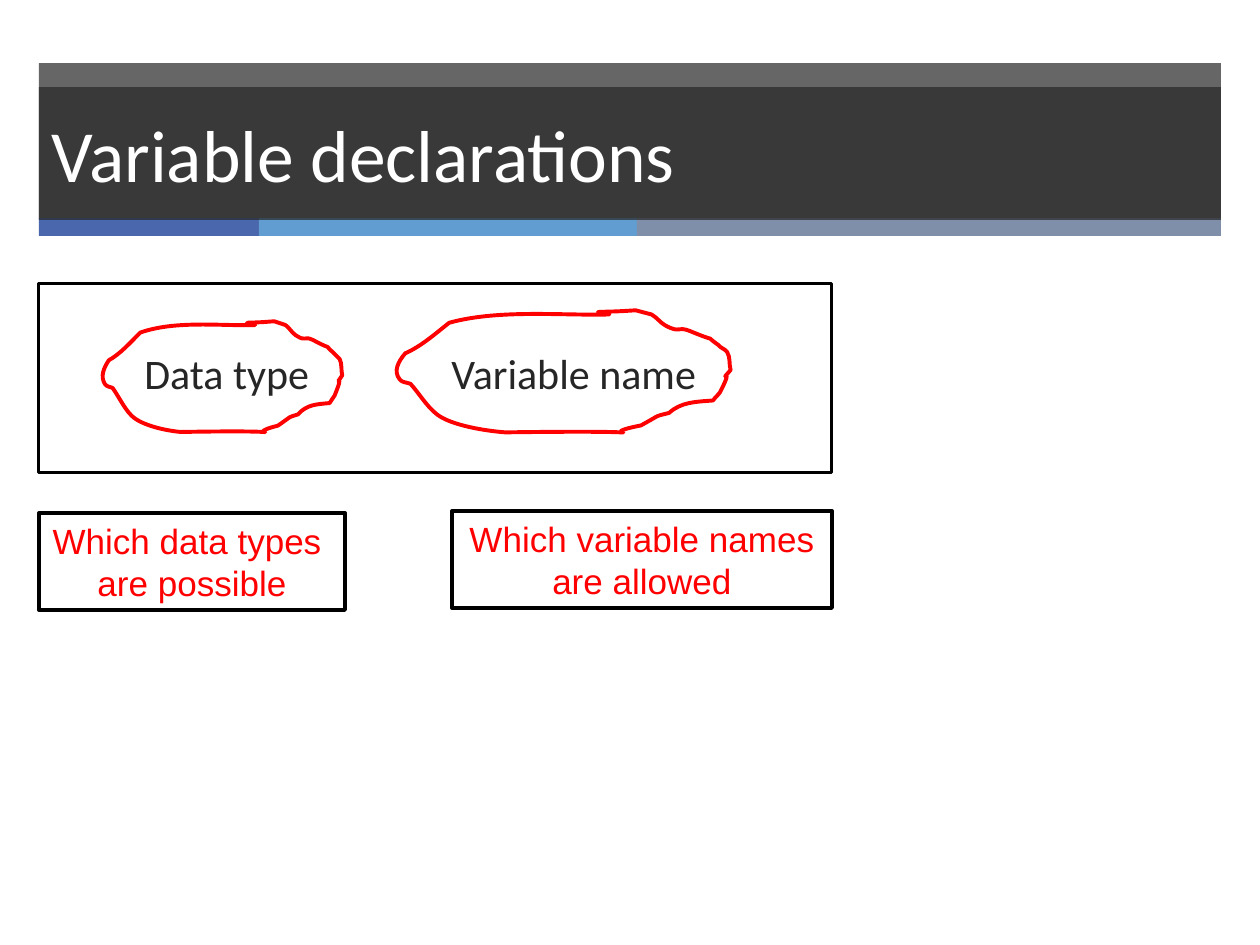
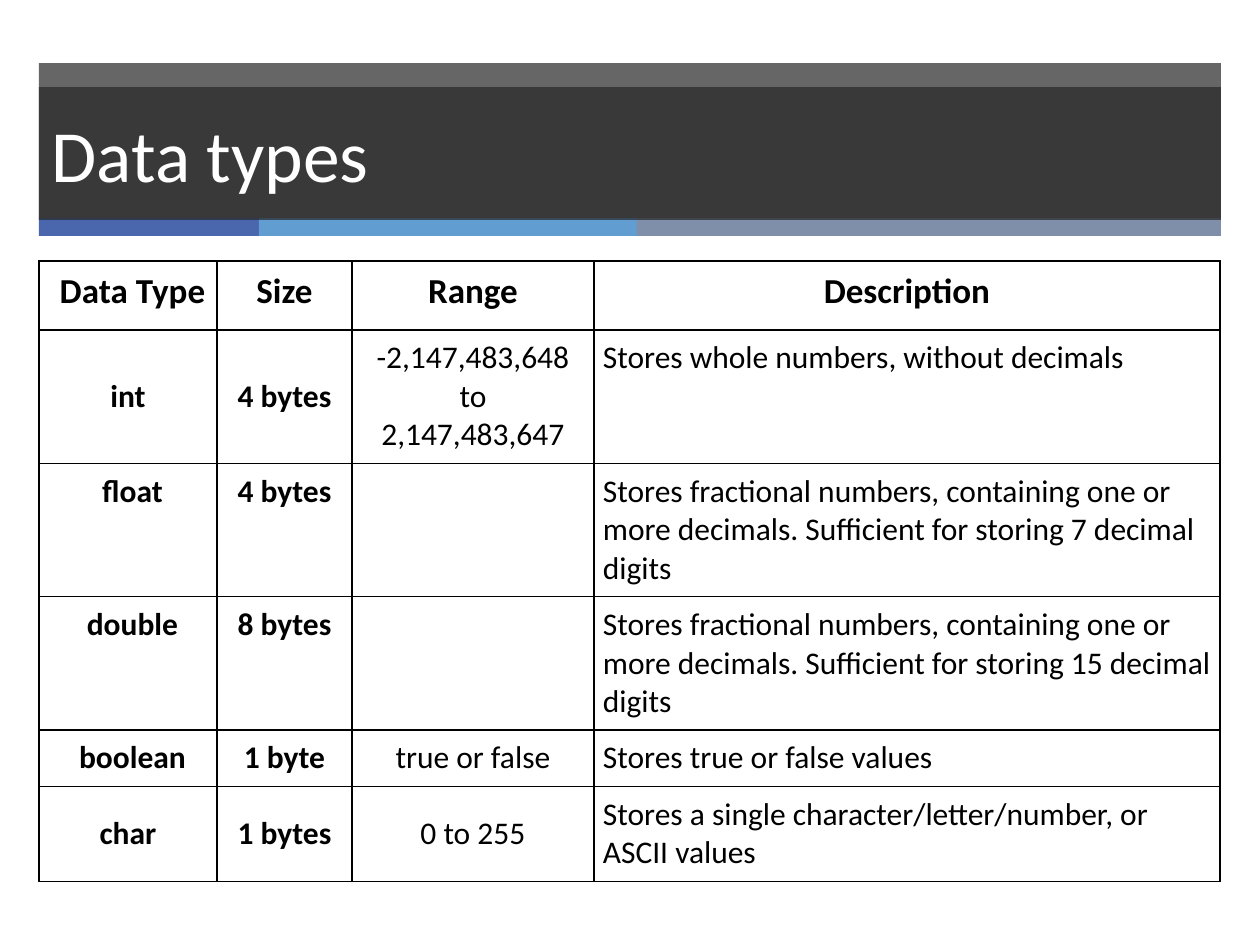
from pptx import Presentation
from pptx.dml.color import RGBColor
from pptx.enum.shapes import MSO_SHAPE as Preset
from pptx.enum.text import MSO_ANCHOR as Anchor, MSO_AUTO_SIZE as AutoSize, PP_ALIGN as Align
from pptx.oxml import parse_xml
from pptx.oxml.ns import nsdecls, qn
from pptx.util import Emu, Pt

PX_PER_INCH = 126
SLIDE_SIZE = (1260, 945)

WHITE = RGBColor(0xFF, 0xFF, 0xFF)
BLACK = RGBColor(0, 0, 0)
RED = RGBColor(0xFF, 0, 0)
CHARCOAL = RGBColor(0x26, 0x26, 0x26)
INDIGO = RGBColor(0x4A, 0x66, 0xAC)
SKY = RGBColor(0x62, 0x9D, 0xD1)
SLATE = RGBColor(0x7F, 0x8F, 0xA9)

BAND_OPACITY = 70
HEADER_BAND = (39, 63, 1182, 156)
TITLE_BOX = (39, 87, 1182, 133)
STRIPE_LEFT, STRIPE_TOP, STRIPE_HEIGHT = 39, 218, 18
STRIPES = [(220, INDIGO), (378, SKY), (584, SLATE)]

TITLE_FONT = dict(name="Calibri", size=Pt(42), color=WHITE)
LABEL_FONT = dict(name="Calibri", size=Pt(24), color=CHARCOAL)
QUESTION_FONT = dict(name="Arial", size=Pt(20), color=RED)
HEADER_FONT = dict(name="Calibri", size=Pt(20), bold=True, color=BLACK)
KEY_FONT = dict(HEADER_FONT, size=Pt(18))
DETAIL_FONT = dict(KEY_FONT, bold=False)

DECLARATION_TITLE = "Variable declarations"
DECLARATION_FRAME = (39, 284, 793, 189)
DECLARATION_LABELS = "Data type\tVariable name"
LABELS_BOX = (132, 341, 935, 158)
LABELS_TAB = 307
LOOP_BOXES = [(100, 320, 246, 117), (393, 309, 343, 129)]
QUESTIONS = [
    (["Which data types ", "are possible"], (39, 513, 306, 97)),
    (["Which variable names", "are allowed"], (452, 511, 380, 97)),
]

# Hand-drawn loop on a 195 x 93 grid: start, then Bezier triples
LOOP_GRID = (195, 93)
LOOP_START = (123, 4)
LOOP_CURVES = [
    ((98, 5), (60, 0), (32, 10)),
    ((24, 18), (16, 27), (7, 32)),
    ((3, 38), (0, 45), (4, 51)),
    ((5, 53), (8, 53), (10, 54)),
    ((15, 61), (19, 70), (25, 76)),
    ((33, 84), (53, 88), (64, 89)),
    ((176, 87), (105, 93), (141, 84)),
    ((154, 75), (148, 78), (157, 75)),
    ((164, 67), (172, 67), (182, 66)),
    ((183, 64), (185, 62), (186, 60)),
    ((195, 38), (184, 56), (192, 44)),
    ((191, 40), (192, 35), (190, 31)),
    ((189, 29), (186, 28), (185, 26)),
    ((175, 17), (188, 26), (169, 16)),
    ((161, 12), (164, 18), (155, 12)),
    ((152, 10), (150, 6), (147, 4)),
    ((144, 3), (138, 1), (138, 1)),
    ((116, 3), (111, 1), (123, 4)),
]

TYPES_TITLE = "Data types"
TABLE_BOX = (39, 261, 1181, 612)
COLUMN_WIDTHS = [178, 135, 242, 626]
MINIMUM_ROW_HEIGHTS = [69, 50, 82, 82, 50, 50]
TYPE_ROWS = [
    ("Data Type", "Size", "Range", "Description"),
    ("int", "4 bytes", "-2,147,483,648 to 2,147,483,647",
     "Stores whole numbers, without decimals"),
    ("float", "4 bytes", "",
     "Stores fractional numbers, containing one or more decimals. "
     "Sufficient for storing 7 decimal digits"),
    ("double", "8 bytes", "",
     "Stores fractional numbers, containing one or more decimals. "
     "Sufficient for storing 15 decimal digits"),
    ("boolean", "1 byte", "true or false", "Stores true or false values"),
    ("char", "1 bytes", "0 to 255",
     "Stores a single character/letter/number, or ASCII values"),
]
MIDDLE_ROWS = {"int", "char"}
CELL_INSET, KEY_INSET, MIDDLE_INSET = 9, 18, 19


def px(length):
    return Emu(round(length * 914400 / PX_PER_INCH))


def emu_box(box):
    return [px(length) for length in box]


def set_attributes(target, values):
    for name, value in values.items():
        setattr(target, name, value)


def write(frame, lines, font, align=Align.LEFT, **frame_values):
    """Fill a text frame with one formatted paragraph per line."""
    set_attributes(frame, frame_values)
    for index, line in enumerate(lines):
        paragraph = frame.add_paragraph() if index else frame.paragraphs[0]
        paragraph.alignment = align
        run = paragraph.add_run()
        run.text = line
        for name, value in font.items():
            if name == "color":
                run.font.color.rgb = value
            else:
                setattr(run.font, name, value)


def fill_solid(shape, color, opacity=100):
    shape.fill.solid()
    shape.fill.fore_color.rgb = color
    if opacity < 100:
        color_element = shape._element.spPr.find(qn("a:solidFill"))[0]
        color_element.append(parse_xml(
            f'<a:alpha {nsdecls("a")} val="{opacity * 1000}"/>'))


def add_band(slide, box, color, opacity=100):
    band = slide.shapes.add_shape(Preset.RECTANGLE, *emu_box(box))
    band.shadow.inherit = False
    band.line.fill.background()
    fill_solid(band, color, opacity)
    return band


def outline(shape, color, width):
    shape.shadow.inherit = False
    shape.fill.background()
    shape.line.color.rgb = color
    shape.line.width = Pt(width)


def add_outlined_box(slide, box, width):
    shape = slide.shapes.add_shape(Preset.RECTANGLE, *emu_box(box))
    outline(shape, BLACK, width)
    return shape


def move_bands_to_layout(slide, layout):
    """Draw the header bands once and hand them to the shared layout."""
    for placeholder in list(layout.placeholders)[1:]:
        placeholder._element.getparent().remove(placeholder._element)
    bands = [add_band(slide, HEADER_BAND, CHARCOAL, BAND_OPACITY)]
    left = STRIPE_LEFT
    for width, color in STRIPES:
        bands.append(add_band(slide, (left, STRIPE_TOP, width, STRIPE_HEIGHT), color))
        left += width
    for band in bands:
        layout.shapes._spTree.append(band._element)


def add_titled_slide(presentation, layout, text):
    slide = presentation.slides.add_slide(layout)
    title = slide.shapes.title
    set_attributes(title, dict(zip(("left", "top", "width", "height"), emu_box(TITLE_BOX))))
    fill_solid(title, CHARCOAL, BAND_OPACITY)
    write(title.text_frame, [text], TITLE_FONT, auto_size=AutoSize.NONE,
          vertical_anchor=Anchor.MIDDLE)
    return slide


def curve_segments(shape):
    """Turn each three line segments of a freeform into one Bezier curve."""
    path_element = next(shape._element.iter(qn("a:path")))
    lines = path_element.findall(qn("a:lnTo"))
    for first, second, end in zip(lines[::3], lines[1::3], lines[2::3]):
        curve = parse_xml(f'<a:cubicBezTo {nsdecls("a")}/>')
        first.addprevious(curve)
        for line in (first, second, end):
            curve.append(line[0])
            path_element.remove(line)


def add_loop(slide, box):
    left, top, width, height = box
    points = [LOOP_START] + [point for curve in LOOP_CURVES for point in curve]
    start, *rest = [(px(left + x * width / LOOP_GRID[0]), px(top + y * height / LOOP_GRID[1]))
                    for x, y in points]
    builder = slide.shapes.build_freeform(*start, scale=1.0)
    builder.add_line_segments(rest, close=True)
    loop = builder.convert_to_shape()
    curve_segments(loop)
    outline(loop, RED, 2.25)


def add_labels(slide):
    frame = slide.shapes.add_textbox(*emu_box(LABELS_BOX)).text_frame
    write(frame, [DECLARATION_LABELS], LABEL_FONT, word_wrap=True)
    frame.paragraphs[0]._p.get_or_add_pPr().append(parse_xml(
        f'<a:tabLst {nsdecls("a")}><a:tab pos="{px(LABELS_TAB)}" algn="l"/></a:tabLst>'))


def fill_declarations(slide):
    add_labels(slide)
    for box in LOOP_BOXES:
        add_loop(slide, box)
    for lines, box in QUESTIONS:
        question = add_outlined_box(slide, box, 2.25)
        write(question.text_frame, lines, QUESTION_FONT, Align.CENTER,
              word_wrap=False, vertical_anchor=Anchor.TOP)
    add_outlined_box(slide, DECLARATION_FRAME, 1.75)


def add_cell_borders(cell):
    properties = cell._tc.get_or_add_tcPr()
    for index, side in enumerate(("lnL", "lnR", "lnT", "lnB")):
        properties.insert(index, parse_xml(
            f'<a:{side} {nsdecls("a")} w="{Pt(1)}"><a:solidFill>'
            f'<a:srgbClr val="{BLACK}"/></a:solidFill></a:{side}>'))


def fill_cell(cell, text, row, column):
    is_description = column == len(COLUMN_WIDTHS) - 1
    is_middle = TYPE_ROWS[row][0] in MIDDLE_ROWS and not is_description
    side = MIDDLE_INSET if is_middle else CELL_INSET
    left = KEY_INSET if column == 0 and not is_middle else side
    set_attributes(cell, dict(
        margin_left=px(left), margin_right=px(side),
        margin_top=px(CELL_INSET), margin_bottom=px(CELL_INSET),
        vertical_anchor=Anchor.MIDDLE if is_middle else Anchor.TOP))
    cell.fill.background()
    add_cell_borders(cell)
    if text:
        font = HEADER_FONT if row == 0 else KEY_FONT if column < 2 else DETAIL_FONT
        align = Align.LEFT if is_description and row else Align.CENTER
        write(cell.text_frame, [text], font, align)


def add_types_table(slide):
    frame = slide.shapes.add_table(len(TYPE_ROWS), len(COLUMN_WIDTHS), *emu_box(TABLE_BOX))
    table = frame.table
    set_attributes(table, dict(first_row=False, horz_banding=False))
    for column, width in zip(table.columns, COLUMN_WIDTHS):
        column.width = px(width)
    for row, height in zip(table.rows, MINIMUM_ROW_HEIGHTS):
        row.height = px(height)
    frame.height = px(TABLE_BOX[3])
    for row, texts in enumerate(TYPE_ROWS):
        for column, text in enumerate(texts):
            fill_cell(table.cell(row, column), text, row, column)


def main():
    presentation = Presentation()
    presentation.slide_width, presentation.slide_height = emu_box(SLIDE_SIZE)
    layout = presentation.slide_layouts.get_by_name("Title Only")
    declarations = add_titled_slide(presentation, layout, DECLARATION_TITLE)
    move_bands_to_layout(declarations, layout)
    fill_declarations(declarations)
    add_types_table(add_titled_slide(presentation, layout, TYPES_TITLE))
    presentation.save("out.pptx")


if __name__ == "__main__":
    main()
